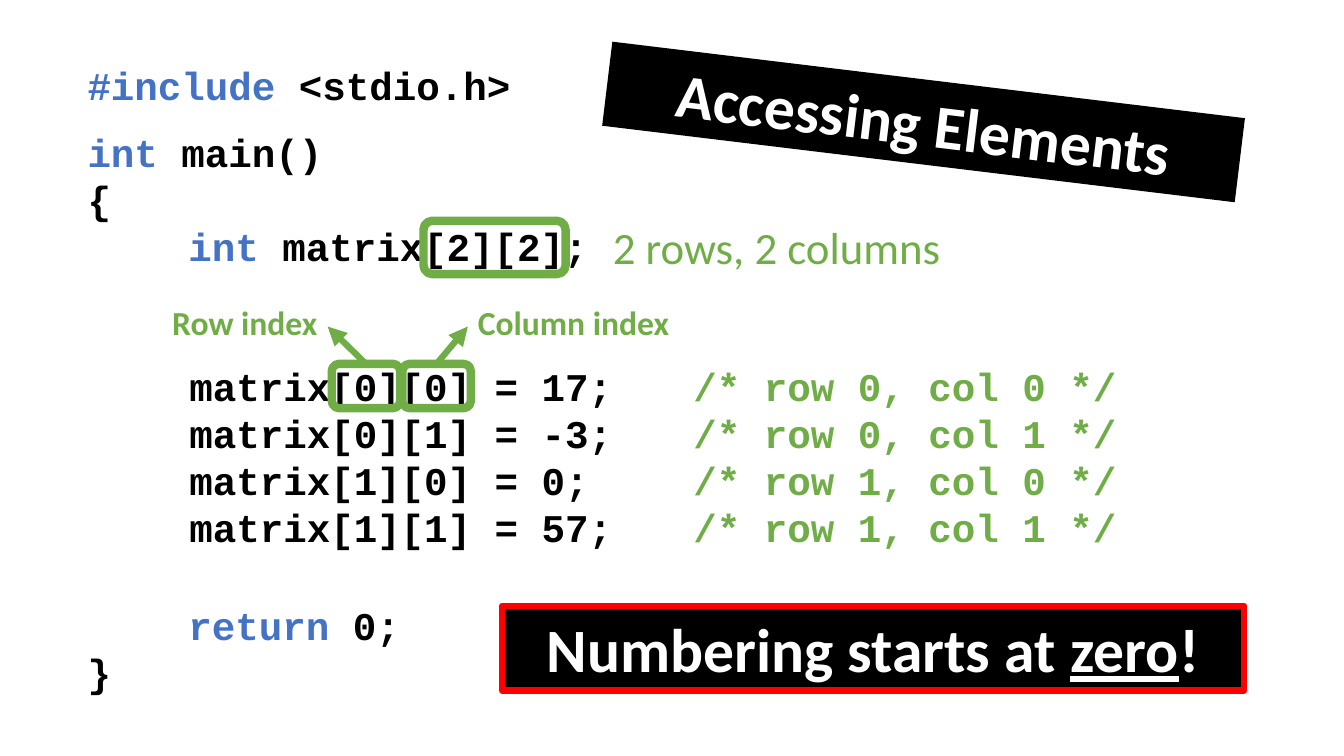
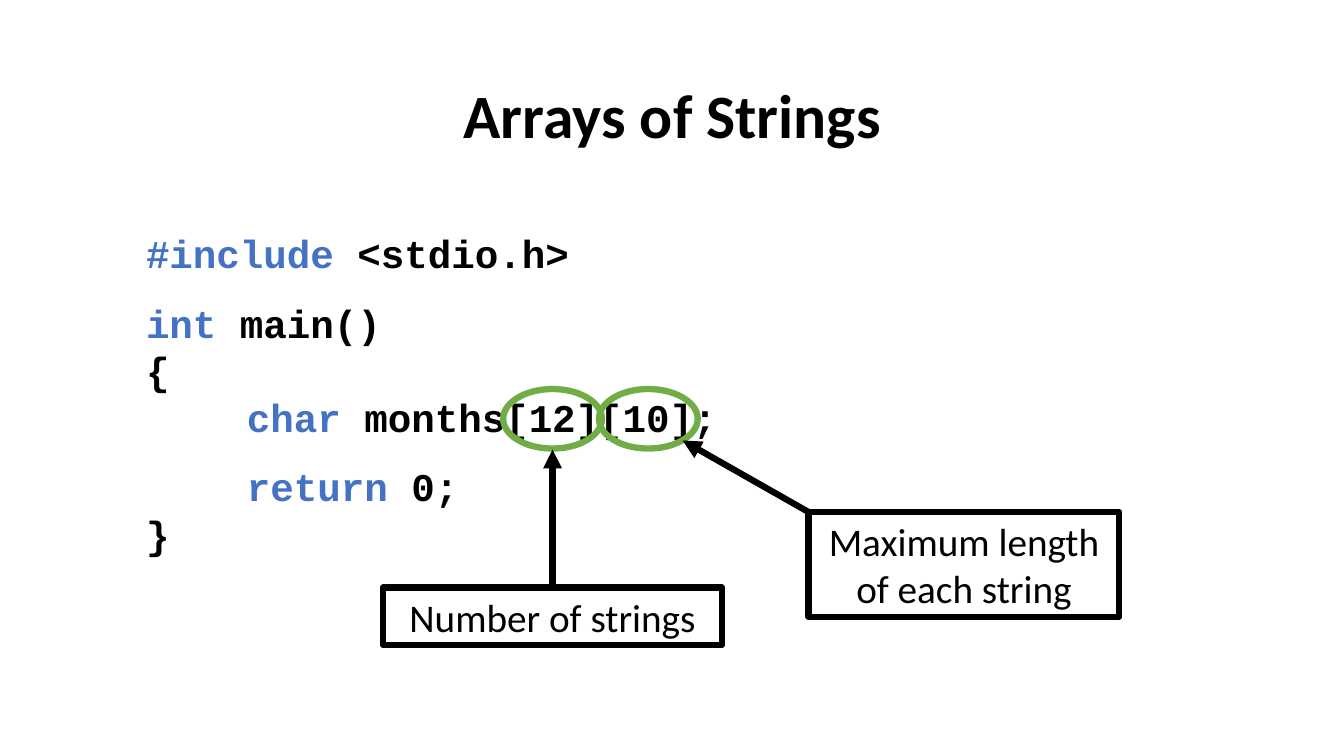
"""Build two slides on two-dimensional arrays and arrays of strings in C."""
import pptx
import pptx.dml.color
import pptx.enum.shapes
import pptx.enum.text
import pptx.oxml.ns
import pptx.util
from lxml import etree

RGB = pptx.dml.color.RGBColor
SHAPE = pptx.enum.shapes.MSO_SHAPE
ALIGN = pptx.enum.text.PP_ALIGN
ANCHOR = pptx.enum.text.MSO_ANCHOR
qn = pptx.oxml.ns.qn

BLACK = RGB(0x00, 0x00, 0x00)
WHITE = RGB(0xFF, 0xFF, 0xFF)
BLUE = RGB(0x44, 0x72, 0xC4)
GREEN = RGB(0x70, 0xAD, 0x47)
RED = RGB(0xFF, 0x00, 0x00)

SANS, MONO = "Calibri", "Courier New"
PX_PER_INCH = 100
TITLE_SIZE, CODE_SIZE = 44, 28
INDENT, COMMENT_TAB = 100, 500
TITLE_ONLY_LAYOUT = 5

# Code lines: indent level, space before in points, keyword, rest of the line
MATRIX_CODE = [
    (0, 0, "#include", " <stdio.h>"),
    (0, 14, "int", " main()"),
    (0, 0, "", "{"),
    (1, 0, "int", " matrix[2][2];"),
    (1, 237, "return", " 0;"),
    (0, 0, "", "}"),
]
STRINGS_CODE = [
    (0, 0, "#include", " <stdio.h>"),
    (0, 16, "int", " main()"),
    (0, 0, "", "{"),
    (1, 0, "char", " months[12][10];"),
    (1, 16, "return", " 0;"),
    (0, 0, "", "}"),
]
ASSIGNMENTS = [(0, 0, "17"), (0, 1, "-3"), (1, 0, "0"), (1, 1, "57")]
INDEX_LABELS = [
    ("Row index", (161, 295, 182, 50), (329, 361, 68, 44), (325, 324)),
    ("Column index", (464, 295, 222, 50), (399, 361, 68, 44), (464, 324)),
]
DIMENSION_RINGS = [(499, 386, 98, 59), (594, 386, 98, 59)]
STRING_NOTES = [
    ("Number of strings", (380, 583, 336, 57)),
    ("Maximum length of each string", (802, 508, 308, 104)),
]


def px(length):
    return pptx.util.Emu(length * 914400 // PX_PER_INCH)


def add_span(para, text, size, color, font=SANS, bold=False, underline=None):
    span = para.add_run()
    span.text = text
    span.font.name, span.font.size = font, pptx.util.Pt(size)
    span.font.bold, span.font.underline = bold, underline
    span.font.color.rgb = color


def add_text(page, at):
    frame = page.shapes.add_textbox(*map(px, at)).text_frame
    frame.word_wrap = True
    return frame


def next_para(frame, index):
    return frame.add_paragraph() if index else frame.paragraphs[0]


def add_box(page, kind, at, line, width, fill=None):
    box = page.shapes.add_shape(kind, *map(px, at))
    box.shadow.inherit = False
    box.line.color.rgb, box.line.width = line, pptx.util.Pt(width)
    if fill is None:
        box.fill.background()
    else:
        box.fill.solid()
        box.fill.fore_color.rgb = fill
    box.text_frame.word_wrap = True
    box.text_frame.paragraphs[0].alignment = ALIGN.CENTER
    return box


def add_arrow(page, start, end, color, source=None):
    arrow = page.shapes.add_connector(
        pptx.enum.shapes.MSO_CONNECTOR.STRAIGHT, *map(px, start + end))
    if source is not None:
        arrow.begin_connect(source, 0)
    arrow.line.color.rgb, arrow.line.width = color, pptx.util.Pt(4.5)
    properties = arrow._element.spPr
    etree.SubElement(properties.find(qn("a:ln")), qn("a:tailEnd"), type="triangle")
    etree.SubElement(properties, qn("a:effectLst"))


def add_title(page, text, at, color):
    title = page.shapes.title
    title.left, title.top, title.width, title.height = map(px, at)
    frame = title.text_frame
    frame.word_wrap, frame.vertical_anchor = True, ANCHOR.MIDDLE
    frame.auto_size = pptx.enum.text.MSO_AUTO_SIZE.NONE
    para = frame.paragraphs[0]
    para.alignment = ALIGN.CENTER
    add_span(para, text, TITLE_SIZE, color, bold=True)
    return title


def add_code(page, lines, at):
    frame = add_text(page, at)
    for index, (level, space, keyword, rest) in enumerate(lines):
        para = next_para(frame, index)
        if level:
            para._p.get_or_add_pPr().set("marL", str(px(level * INDENT)))
        if space:
            para.space_before = pptx.util.Pt(space)
        for text, color in ((keyword, BLUE), (rest, BLACK)):
            if text:
                add_span(para, text, CODE_SIZE, color, MONO, True)


def add_assignments(page, at):
    frame = add_text(page, at)
    for index, (row, column, value) in enumerate(ASSIGNMENTS):
        para = next_para(frame, index)
        tabs = etree.SubElement(para._p.get_or_add_pPr(), qn("a:tabLst"))
        etree.SubElement(tabs, qn("a:tab"), pos=str(px(COMMENT_TAB)), algn="l")
        add_span(para, f"matrix[{row}][{column}] = {value};\t",
                 CODE_SIZE, BLACK, MONO, True)
        add_span(para, f"/* row {row}, col {column} */",
                 CODE_SIZE, GREEN, MONO, True)


def build_elements_slide(page):
    title = add_title(page, "Accessing Elements", (600, 79, 632, 84), WHITE)
    title.rotation = 6.9
    title.fill.solid()
    title.fill.fore_color.rgb = BLACK

    add_code(page, MATRIX_CODE, (77, 56, 876, 643))
    add_box(page, SHAPE.ROUNDED_RECTANGLE, (420, 219, 141, 53), GREEN, 6)
    size_note = add_text(page, (598, 213, 386, 64))
    add_span(size_note.paragraphs[0], "2 rows, 2 columns", 32, GREEN)

    add_assignments(page, (178, 354, 1090, 199))
    for text, label_at, ring_at, tip in INDEX_LABELS:
        ring = add_box(page, SHAPE.ROUNDED_RECTANGLE, ring_at, GREEN, 6)
        add_arrow(page, ring_at[:2], tip, GREEN, ring)
        label = add_text(page, label_at)
        add_span(label.paragraphs[0], text, 24, GREEN, bold=True)

    warning = add_box(page, SHAPE.RECTANGLE, (498, 601, 736, 84), RED, 4.5, BLACK)
    for text, underline in (("Numbering starts at ", None), ("zero", True), ("!", None)):
        add_span(warning.text_frame.paragraphs[0], text, TITLE_SIZE, WHITE,
                 bold=True, underline=underline)


def build_strings_slide(page):
    add_title(page, "Arrays of Strings", (92, 40, 1150, 145), BLACK)
    add_code(page, STRINGS_CODE, (135, 223, 985, 350))
    for at in DIMENSION_RINGS:
        add_box(page, SHAPE.OVAL, at, GREEN, 4.5)
    notes = []
    for text, at in STRING_NOTES:
        note = add_box(page, SHAPE.RECTANGLE, at, BLACK, 4.5)
        add_span(note.text_frame.paragraphs[0], text, 28, BLACK)
        notes.append(note)
    add_arrow(page, (548, 583), (548, 446), BLACK, notes[0])
    add_arrow(page, (802, 508), (677, 437), BLACK)


def main():
    deck = pptx.Presentation()
    deck.slide_width, deck.slide_height = px(1333), px(750)
    layout = deck.slide_layouts[TITLE_ONLY_LAYOUT]
    for build in (build_elements_slide, build_strings_slide):
        build(deck.slides.add_slide(layout))
    deck.save("out.pptx")


if __name__ == "__main__":
    main()
